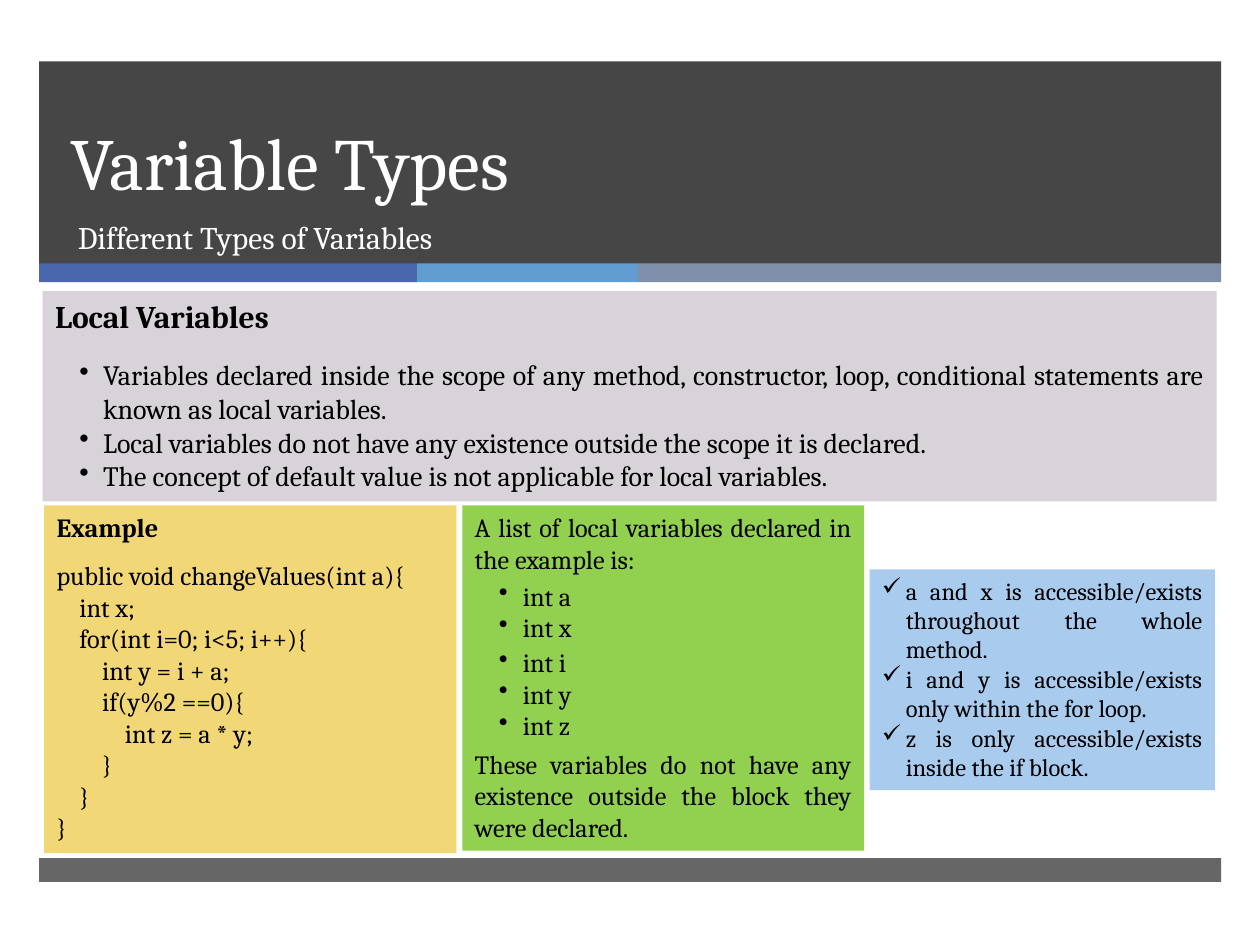
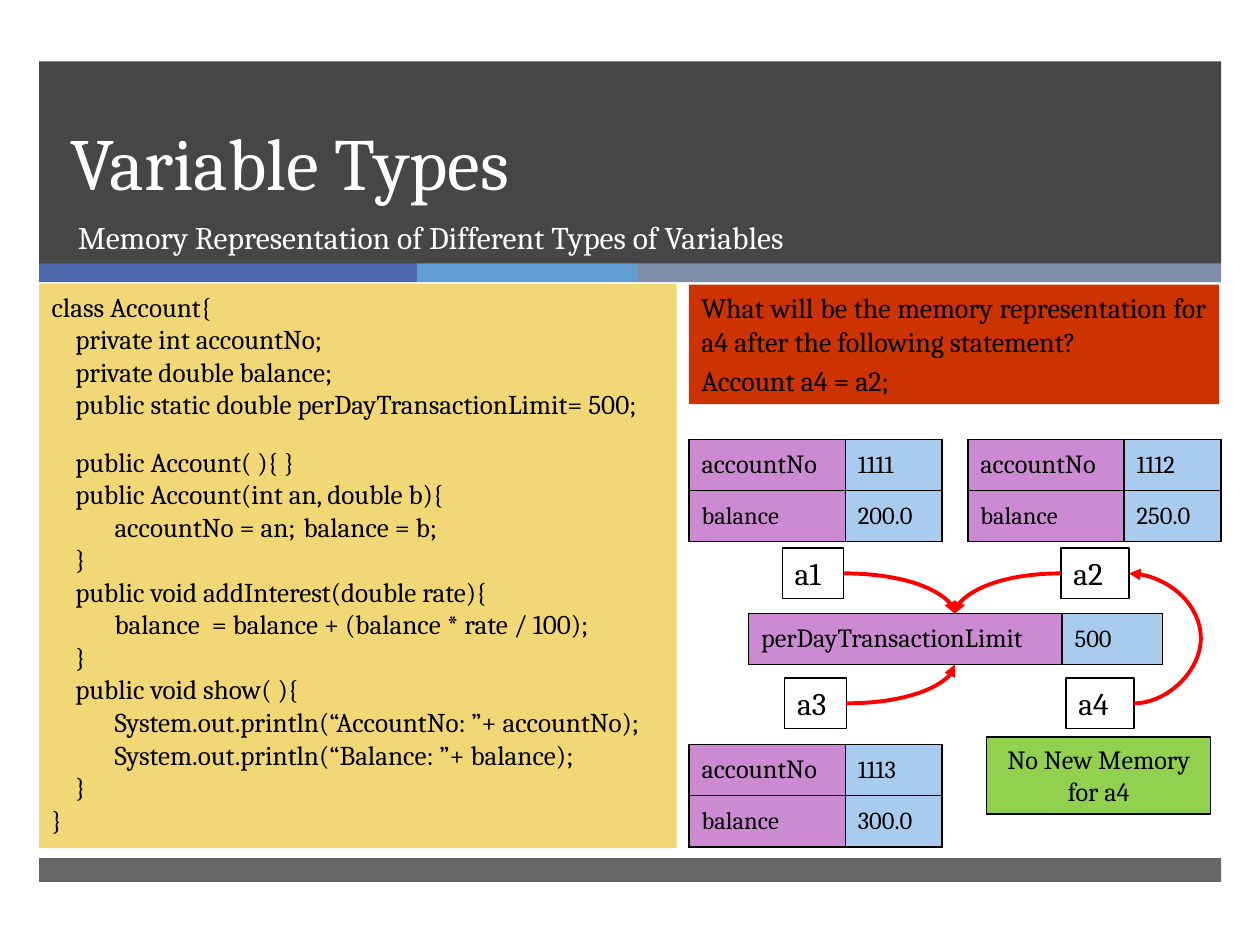
from dataclasses import dataclass

from lxml.etree import SubElement
from pptx import Presentation
from pptx.dml.color import RGBColor
from pptx.enum.shapes import MSO_CONNECTOR, MSO_SHAPE
from pptx.enum.text import MSO_ANCHOR, PP_ALIGN
from pptx.oxml import parse_xml
from pptx.oxml.ns import nsdecls, qn
from pptx.util import Cm, Pt


# Theme: colours and type sizes
@dataclass(frozen=True)
class Theme:
    font: str = "Cambria"
    ink: str = "000000"
    white: str = "FFFFFF"
    dark: str = "262626"
    stripes: tuple = ("4A66AC", "629DD1", "7F8FA9")
    grey: str = "D8D3D9"
    yellow: str = "F2D776"
    green: str = "92D050"
    blue: str = "A9CCEE"
    red: str = "CC3300"
    purple: str = "CB8AD2"
    arrow: str = "FF0000"
    title: float = 42
    heading: float = 18
    body: float = 16
    code: float = 15.5
    small: float = 15
    tiny: float = 14


THEME = Theme()


@dataclass
class Line:
    """One paragraph: sizes and spacing in points, indents in cm."""
    text: str
    size: float = THEME.small
    bold: bool = False
    align: PP_ALIGN = PP_ALIGN.JUSTIFY
    colour: str = THEME.ink
    before: float = 0
    after: float = 0
    spacing: float = 1.0
    bullet: str = ""
    margin: float = 0
    first: float = 0
    tab: float = 0


def apply(target, values):
    for name, value in values.items():
        setattr(target, name, value)


def bullets(texts, margin, mark="•", **style):
    return [Line(text, bullet=mark, margin=margin, first=-0.48, **style) for text in texts]


class Deck:
    def __init__(self, theme):
        self.theme = theme
        self.prs = Presentation()
        apply(self.prs, {"slide_width": Cm(25.4), "slide_height": Cm(19.05)})
        self.slide = None

    # Text
    def fill_text(self, frame, lines, anchor=MSO_ANCHOR.TOP):
        apply(frame, {"word_wrap": True, "vertical_anchor": anchor})
        for number, line in enumerate(lines):
            paragraph = frame.add_paragraph() if number else frame.paragraphs[0]
            apply(paragraph, {
                "alignment": line.align, "line_spacing": line.spacing,
                "space_before": Pt(line.before), "space_after": Pt(line.after)})
            props = paragraph._p.get_or_add_pPr()
            props.set("marL", str(Cm(line.margin)))
            props.set("indent", str(Cm(line.first)))
            if line.bullet:
                SubElement(props, qn("a:buChar"), char=line.bullet)
            if line.tab:
                stops = SubElement(props, qn("a:tabLst"))
                SubElement(stops, qn("a:tab"), pos=str(Cm(line.tab)), algn="l")
            run = paragraph.add_run()
            run.text = line.text
            apply(run.font, {"name": self.theme.font, "size": Pt(line.size),
                             "bold": line.bold})
            run.font.color.rgb = RGBColor.from_string(line.colour)

    def text(self, box, line, anchor=MSO_ANCHOR.TOP):
        holder = self.slide.shapes.add_textbox(*map(Cm, box))
        self.fill_text(holder.text_frame, [line], anchor)

    # Rectangles
    def panel(self, box, fill=None, lines=(), outline=False, opacity=None):
        rect = self.slide.shapes.add_shape(MSO_SHAPE.RECTANGLE, *map(Cm, box))
        rect.shadow.inherit = False
        if fill:
            rect.fill.solid()
            rect.fill.fore_color.rgb = RGBColor.from_string(fill)
        else:
            rect.fill.background()
        if opacity:
            colour = next(rect.element.spPr.iter(qn("a:srgbClr")))
            SubElement(colour, qn("a:alpha"), val=str(opacity * 1000))
        if outline:
            rect.line.color.rgb = RGBColor.from_string(self.theme.ink)
            rect.line.width = Pt(0.75)
        else:
            rect.line.fill.background()
        self.fill_text(rect.text_frame, lines)
        return rect

    # Tables of fields and values
    def memory(self, left, top, widths, rows, height=1.03):
        frame = self.slide.shapes.add_table(
            len(rows), 2, Cm(left), Cm(top), Cm(sum(widths)), Cm(height * len(rows)))
        table = frame.table
        apply(table, {"first_row": False, "horz_banding": False})
        for column, width in zip(table.columns, widths):
            column.width = Cm(width)
        for r, row in enumerate(rows):
            table.rows[r].height = Cm(height)
            for c, value in enumerate(row):
                cell = table.cell(r, c)
                cell.fill.solid()
                cell.fill.fore_color.rgb = RGBColor.from_string(
                    (self.theme.purple, self.theme.blue)[c])
                size = self.theme.tiny if r or c else self.theme.small
                self.fill_text(cell.text_frame, [Line(value, size, align=PP_ALIGN.LEFT)])
                cell.vertical_anchor = MSO_ANCHOR.MIDDLE
        for props in frame.element.iter(qn("a:tcPr")):
            for index, side in enumerate("LRTB"):
                props.insert(index, parse_xml(
                    f'<a:ln{side} {nsdecls("a")} w="{Pt(1)}"><a:solidFill>'
                    f'<a:srgbClr val="{self.theme.ink}"/></a:solidFill></a:ln{side}>'))

    # Curved arrows
    def arrow(self, start, end, bulge=None):
        curve = self.slide.shapes.add_connector(MSO_CONNECTOR.CURVE, *start, *end)
        curve.line.color.rgb = RGBColor.from_string(self.theme.arrow)
        curve.line.width = Pt(2.25)
        props = curve.element.spPr
        SubElement(props.find(qn("a:ln")), qn("a:tailEnd"), type="triangle")
        SubElement(props, qn("a:effectLst"))
        geometry = props.find(qn("a:prstGeom"))
        if bulge is None:
            geometry.set("prst", "curvedConnector2")
        else:
            share = round(-bulge / abs(end[0] - start[0]) * 100000)
            guides = geometry.find(qn("a:avLst"))
            SubElement(guides, qn("a:gd"), name="adj1", fmla=f"val {share}")

    # Parts every slide shares
    def new_slide(self, subtitle):
        theme = self.theme
        self.slide = self.prs.slides.add_slide(self.prs.slide_layouts[6])
        self.panel((0.79, 1.24, 23.83, 4.09), theme.dark, opacity=85)
        left = 0.79
        for colour, width in zip(theme.stripes, (7.62, 4.45, 11.76)):
            self.panel((left, 5.31, width, 0.38), colour)
            left += width
        self.panel((0.79, 17.3, 23.83, 0.48), theme.dark, opacity=70)
        self.text((1.17, 1.24, 21.69, 3.02),
                  Line("Variable Types", theme.title, align=PP_ALIGN.LEFT,
                       colour=theme.white, spacing=Pt(46)), MSO_ANCHOR.BOTTOM)
        self.text((1.32, 4.27, 21.54, 1.35),
                  Line(subtitle, theme.heading, align=PP_ALIGN.LEFT, colour=theme.white))


def right_side(rect):
    return rect.left + rect.width, rect.top + rect.height // 2


def left_side(rect):
    return rect.left, rect.top + rect.height // 2


def local_variables(deck):
    theme = deck.theme
    deck.new_slide("Different Types of Variables")

    # Definition
    deck.panel((0.86, 5.87, 23.67, 4.24), theme.grey, [
        Line("Local Variables", theme.heading, bold=True, after=13),
        *bullets([
            "Variables declared inside the scope of any method, constructor, loop, "
            "conditional statements are known as local variables.",
            "Local variables do not have any existence outside the scope it is declared.",
            "The concept of default value is not applicable for local variables.",
        ], 0.97, size=theme.body)])

    # Example code: nesting level and statement
    example = [
        (0, "public void changeValues(int a){"), (1, "int x;"),
        (1, "for(int i=0; i<5; i++){"), (2, "int y = i + a;"),
        (2, "if(y%2 ==0){"), (3, "int z = a * y;"), (2, "}"), (1, "}"), (0, "}")]
    deck.panel((0.89, 10.19, 8.31, 7.01), theme.yellow, [
        Line("Example", bold=True, after=9.5),
        *[Line(code, first=0.46 * level) for level, code in example]])

    # Variables in the example
    declared = bullets(["int a", "int x", "int i", "int y", "int z"], 0.97,
                       align=PP_ALIGN.LEFT)
    declared[1].after = 2
    deck.panel((9.32, 10.19, 8.1, 6.96), theme.green, [
        Line("A list of local variables declared in the example is:", after=3),
        *declared,
        Line("These variables do not have any existence outside the block "
             "they were declared.", before=4)])

    # Accessibility
    deck.panel((17.53, 11.48, 6.96, 4.45), theme.blue, bullets([
        "a and x is accessible/exists throughout the whole method.",
        "i and y is accessible/exists only within the for loop.",
        "z is only accessible/exists inside the if block.",
    ], 0.48, "✓", size=theme.tiny))


def memory_representation(deck):
    theme = deck.theme
    deck.new_slide("Memory Representation of Different Types of Variables")

    # Account class: nesting level and statement
    account = [
        (0, "class Account{"), (1, "private int accountNo;"),
        (1, "private double balance;"),
        (1, "public static double perDayTransactionLimit= 500;"),
        (1, "public Account( ){ }"), (1, "public Account(int an, double b){"),
        (2, "accountNo = an;\tbalance = b;"), (1, "}"),
        (1, "public void addInterest(double rate){"),
        (2, "balance  = balance + (balance * rate / 100);"), (1, "}"),
        (1, "public void show( ){"),
        (2, "System.out.println(“AccountNo: ”+ accountNo);"),
        (2, "System.out.println(“Balance: ”+ balance);"), (1, "}"), (0, "}")]
    indents = (0, 0.48, 1.27)
    listing = [Line(code, theme.code, first=indents[level],
                    tab=6.35 if "\t" in code else 0) for level, code in account]
    listing[3].after = 14.3
    deck.panel((0.79, 5.72, 12.85, 11.38), theme.yellow, listing)

    # Question
    deck.panel((13.89, 5.74, 10.69, 2.41), theme.red, [
        Line(text, theme.body, after=3) for text in (
            "What will be the memory representation for a4 after the following statement?",
            "Account a4 = a2;")])

    # Objects and the static field
    for left, top, number, balance in ((13.89, 8.86, "1111", "200.0"),
                                       (19.51, 8.86, "1112", "250.0"),
                                       (13.89, 15.01, "1113", "300.0")):
        deck.memory(left, top, (3.15, 1.95),
                    [("accountNo", number), ("balance", balance)])
    deck.memory(15.09, 12.37, (6.32, 2.02), [("perDayTransactionLimit", "500")])

    # References
    a1, a2, a3, a4 = [
        deck.panel((left, top, width, 1.02), outline=True,
                   lines=[Line(name, theme.heading, align=PP_ALIGN.LEFT)])
        for name, left, top, width in (("a1", 15.77, 11.05, 1.24), ("a2", 21.39, 11.05, 1.37),
                                       ("a3", 15.82, 13.67, 1.24), ("a4", 21.49, 13.67, 1.37))]
    limit_top, limit_bottom = (Cm(19.25), Cm(12.37)), (Cm(19.25), Cm(13.4))
    deck.arrow(right_side(a1), limit_top)
    deck.arrow(left_side(a2), limit_top)
    deck.arrow(right_side(a3), limit_bottom)
    deck.arrow(right_side(a4), right_side(a2), bulge=Cm(1.35))

    # Answer
    deck.panel((19.89, 14.86, 4.52, 1.55), theme.green, outline=True,
               lines=[Line("No New Memory for a4", align=PP_ALIGN.CENTER)])


def main():
    deck = Deck(THEME)
    local_variables(deck)
    memory_representation(deck)
    deck.prs.save("out.pptx")


if __name__ == "__main__":
    main()
